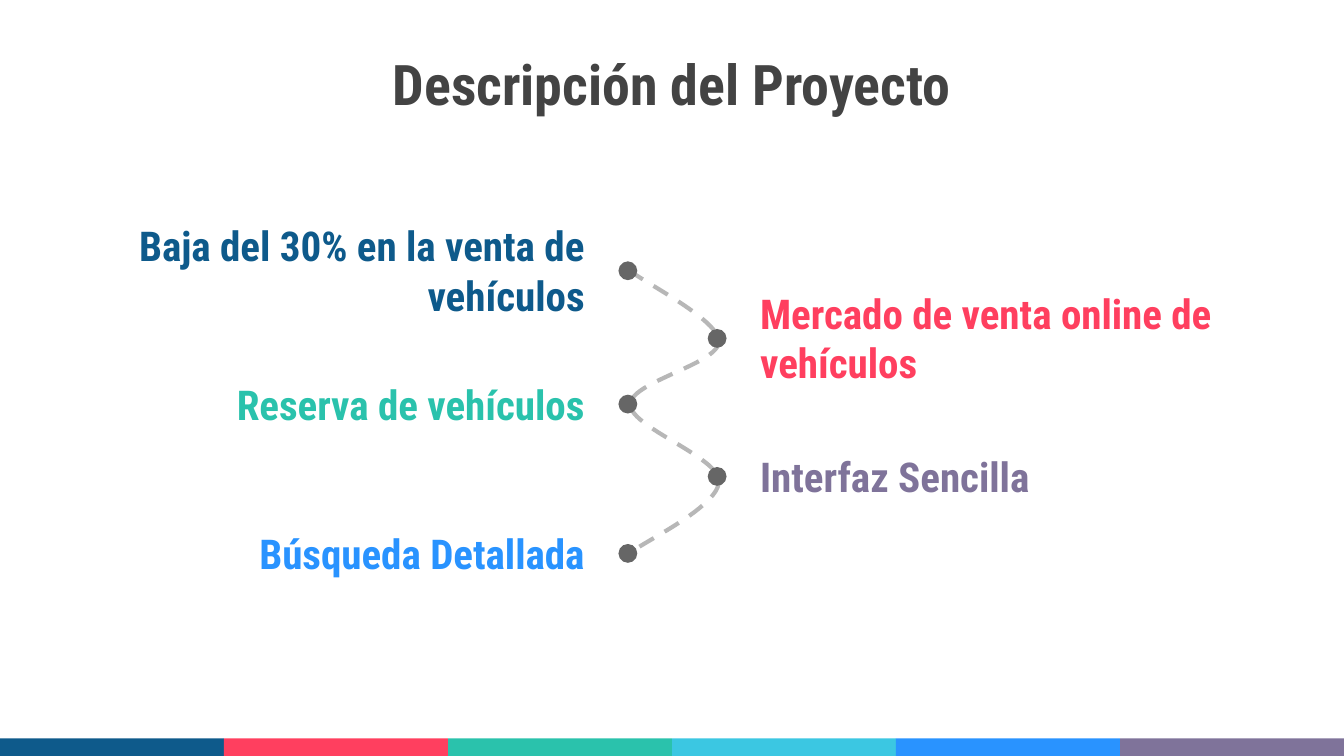
"""Build the project description slide on a grid of 100 columns by 56.25 rows."""
import pptx
import pptx.util
import pptx.dml.color
import pptx.enum.dml
import pptx.enum.shapes
import pptx.enum.text

COLS, ROWS = 100, 56.25
CELL = pptx.util.Inches(0.1)
KIND = pptx.enum.shapes.MSO_SHAPE
ALIGN = pptx.enum.text.PP_ALIGN
ANCHOR = pptx.enum.text.MSO_ANCHOR

deck = pptx.Presentation()
deck.slide_width = round(COLS * CELL)
deck.slide_height = round(ROWS * CELL)
slide = deck.slides.add_slide(deck.slide_layouts[6])
shapes = slide.shapes


def paint(target, color):
    if hasattr(target, "solid"):
        target.solid()
        target = target.fore_color
    target.rgb = pptx.dml.color.RGBColor.from_string(color)


def place(kind, left, top, width, height, color, text="", size=22, align=ALIGN.LEFT):
    area = [round(n * CELL) for n in (left, top, width, height)]
    if kind is not None:
        shape = shapes.add_shape(kind, *area)
        shape.shadow.inherit = False
        paint(shape.fill, color)
        shape.line.fill.background()
        return
    frame = shapes.add_textbox(*area).text_frame
    frame.word_wrap = True
    frame.margin_left = frame.margin_right = frame.margin_top = frame.margin_bottom = 0
    frame.vertical_anchor = ANCHOR.MIDDLE if align == ALIGN.CENTER else ANCHOR.TOP
    line = frame.paragraphs[0]
    line.text = text
    line.alignment = align
    line.font.name = "Roboto Condensed"
    line.font.size = pptx.util.Pt(size)
    line.font.bold = True
    paint(line.font.color, color)


place(KIND.RECTANGLE, 0, 55.2, COLS, 1.05, "236FC5")
bands = ["0E5A8B", "FF3F5F", "2AC2AC", "3BC7E2", "2993FF", "7F739A"]
step = COLS / len(bands)
for i, color in enumerate(bands):
    place(KIND.RECTANGLE, i * step, 54.95, step, 1.3, color)

curves = [
    [(46.8, 20.1), (47.9, 21), (53.5, 23.8), (53.5, 25.4)],
    [(53.5, 25.4), (53.5, 27.1), (46.9, 28.4), (46.9, 30.1)],
    [(46.9, 30.1), (46.9, 31.8), (53.5, 34), (53.5, 35.8)],
    [(53.5, 35.8), (53.5, 37.7), (47.9, 40.3), (46.8, 41.2)],
]
parts = 24
points = [curves[0][0]]
for curve in curves:
    for i in range(1, parts + 1):
        t = i / parts
        share = [(1 - t) ** 3, 3 * t * (1 - t) ** 2, 3 * t**2 * (1 - t), t**3]
        points.append([sum(s * p[axis] for s, p in zip(share, curve)) for axis in (0, 1)])
points = [(round(x * CELL), round(y * CELL)) for x, y in points]
pen = shapes.build_freeform(*points[0])
pen.add_line_segments(points[1:], close=False)
trail = pen.convert_to_shape()
trail.shadow.inherit = False
trail.fill.background()
paint(trail.line.fill, "B7B7B7")
trail.line.width = pptx.util.Pt(2.25)
trail.line.dash_style = pptx.enum.dml.MSO_LINE.DASH

place(None, 19.15, 4.2, 61.7, 3.9, "434343", "Descripción del Proyecto", 30, ALIGN.CENTER)

topics = [
    ("Baja del 30% en la venta de vehículos", "0E5A8B", 16.43, 7.4, 19.45),
    ("Mercado de venta online de vehículos", "FF3F5F", 21.47, 7.4, 24.48),
    ("Reserva de vehículos", "2AC2AC", 28.24, 3.7, 29.37),
    ("Interfaz Sencilla", "7F739A", 33.6, 3.7, 34.75),
    ("Búsqueda Detallada", "2993FF", 39.34, 3.7, 40.48),
]
sides = [(8, 46.02, ALIGN.RIGHT), (56.56, 52.66, ALIGN.LEFT)]
for i, (text, color, top, height, dot) in enumerate(topics):
    left, spot, align = sides[i % 2]
    place(None, left, top, 35.5, height, color, text, align=align)
    place(KIND.OVAL, spot, dot, 1.4, 1.4, "666666")

deck.save("out.pptx")
